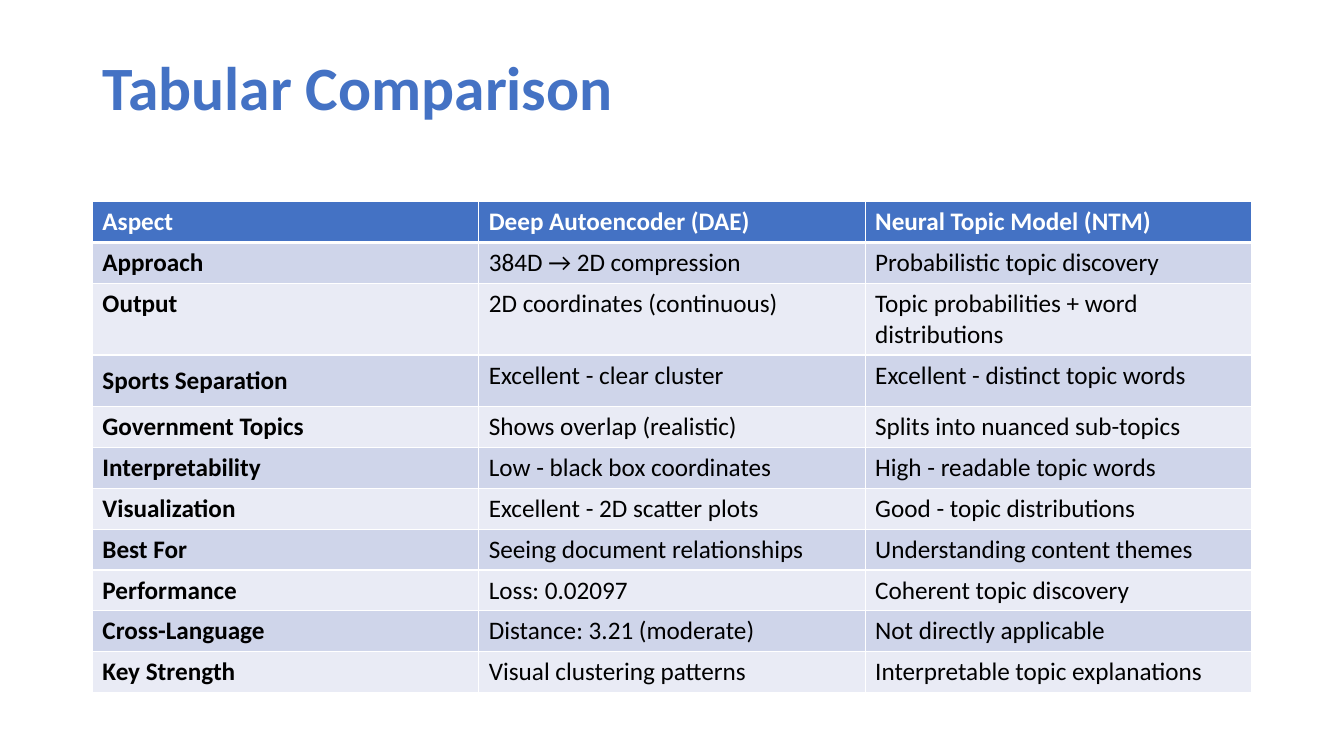
import pptx
import pptx.dml.color
import pptx.enum.text
import pptx.oxml
import pptx.oxml.ns
import pptx.util

Pt = pptx.util.Pt
ALIGN = pptx.enum.text.PP_ALIGN
ANCHOR = pptx.enum.text.MSO_ANCHOR

BLUE, WHITE, BLACK = "4472C4", "FFFFFF", "000000"
BANDS = ("E9EBF5", "CFD5EA")
LEFT, WIDTH = 66, 828
ROW, TALL, WRAPPED = 29.2, 36.8, 51

ROWS = [
    ("Aspect", "Deep Autoencoder (DAE)", "Neural Topic Model (NTM)"),
    ("Approach", "384D → 2D compression", "Probabilistic topic discovery"),
    ("Output", "2D coordinates (continuous)",
     "Topic probabilities + word distributions"),
    ("Sports Separation", "Excellent - clear cluster",
     "Excellent - distinct topic words"),
    ("Government Topics", "Shows overlap (realistic)",
     "Splits into nuanced sub-topics"),
    ("Interpretability", "Low - black box coordinates",
     "High - readable topic words"),
    ("Visualization", "Excellent - 2D scatter plots",
     "Good - topic distributions"),
    ("Best For", "Seeing document relationships",
     "Understanding content themes"),
    ("Performance", "Loss: 0.02097", "Coherent topic discovery"),
    ("Cross-Language", "Distance: 3.21 (moderate)",
     "Not directly applicable"),
    ("Key Strength", "Visual clustering patterns",
     "Interpretable topic explanations"),
]
HEIGHTS = {"Output": WRAPPED, "Sports Separation": TALL}


def color(code):
    return pptx.dml.color.RGBColor.from_string(code)


def write(frame, text, size, code, bold):
    frame.text = text
    para = frame.paragraphs[0]
    para.alignment = ALIGN.LEFT
    font = para.runs[0].font
    font.name, font.size, font.bold = "Calibri", Pt(size), bold
    font.color.rgb = color(code)


def border(cell, bottom):
    """Draw white cell edges; bottom is the lower edge's width in points."""
    props = cell._tc.get_or_add_tcPr()
    widths = {"lnL": 1, "lnR": 1, "lnT": 1, "lnB": bottom}
    for index, (side, width) in enumerate(widths.items()):
        props.insert(index, pptx.oxml.parse_xml(
            f'<a:{side} {pptx.oxml.ns.nsdecls("a")} w="{Pt(width)}">'
            f'<a:solidFill><a:srgbClr val="{WHITE}"/></a:solidFill>'
            f'</a:{side}>'))


def add_title(slide, text):
    title = slide.shapes.title
    title.left, title.top = Pt(LEFT), Pt(28.8)
    title.width, title.height = Pt(WIDTH), Pt(71.3)
    frame = title.text_frame
    frame.vertical_anchor = ANCHOR.MIDDLE
    write(frame, text, 44, BLUE, True)
    frame.paragraphs[0].line_spacing = 0.9


def add_grid(slide, rows):
    heights = [HEIGHTS.get(row[0], ROW) for row in rows]
    table = slide.shapes.add_table(
        len(rows), len(rows[0]), Pt(LEFT), Pt(144),
        Pt(WIDTH), Pt(sum(heights))).table
    for r, (row, height) in enumerate(zip(rows, heights)):
        table.rows[r].height = Pt(height)
        head = r == 0
        for c, text in enumerate(row):
            cell = table.cell(r, c)
            write(cell.text_frame, text, 18, WHITE if head else BLACK,
                  head or c == 0)
            cell.fill.solid()
            cell.fill.fore_color.rgb = color(BLUE if head else BANDS[r % 2])
            border(cell, 3 if head else 1)
            if height == TALL and c == 0:
                cell.vertical_anchor = ANCHOR.MIDDLE
                cell.margin_top = cell.margin_bottom = Pt(7.2)
                cell.margin_right = Pt(12)


def main():
    deck = pptx.Presentation()
    deck.slide_width, deck.slide_height = Pt(960), Pt(540)
    slide = deck.slides.add_slide(deck.slide_layouts[5])
    add_title(slide, "Tabular Comparison")
    add_grid(slide, ROWS)
    deck.save("out.pptx")


if __name__ == "__main__":
    main()
